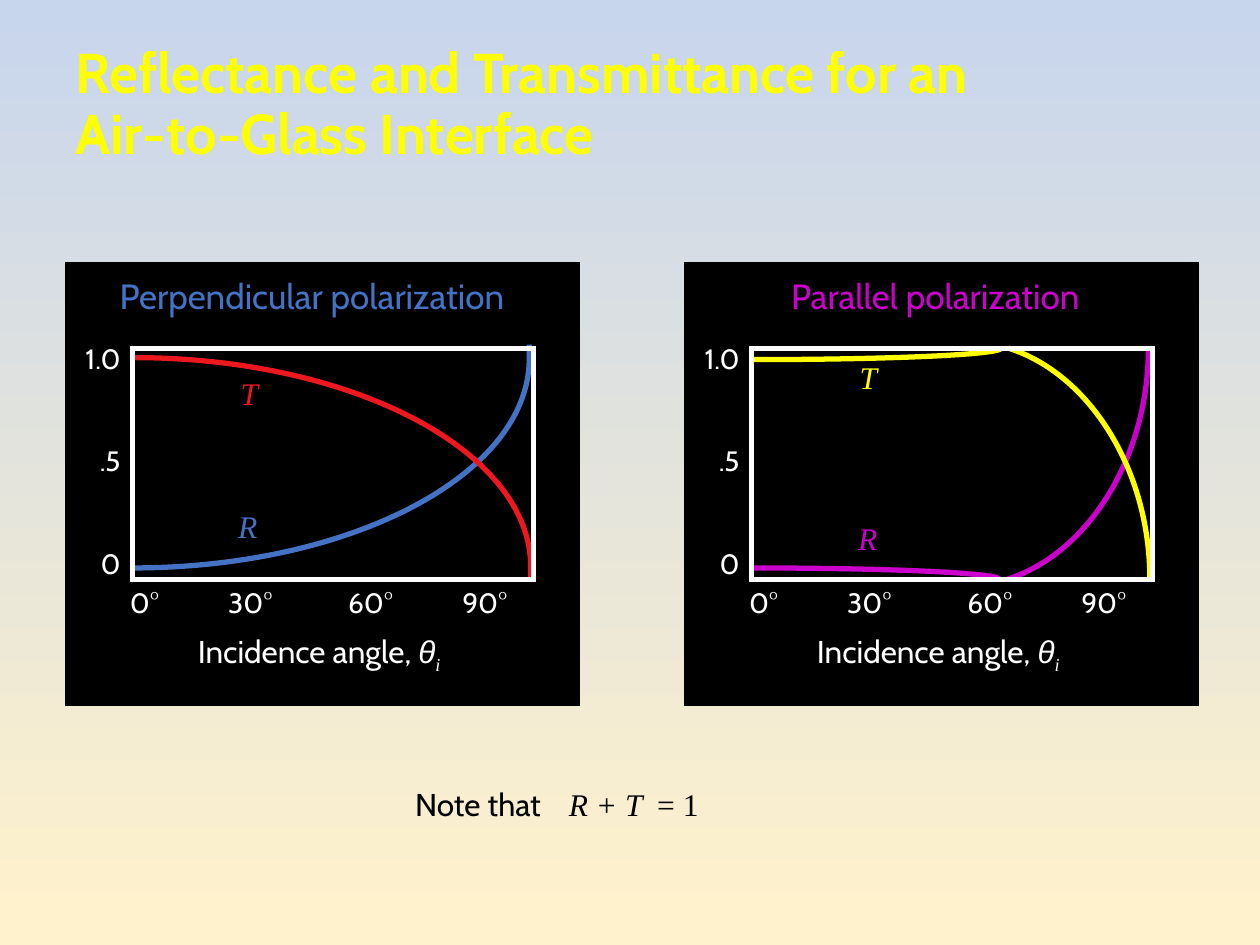
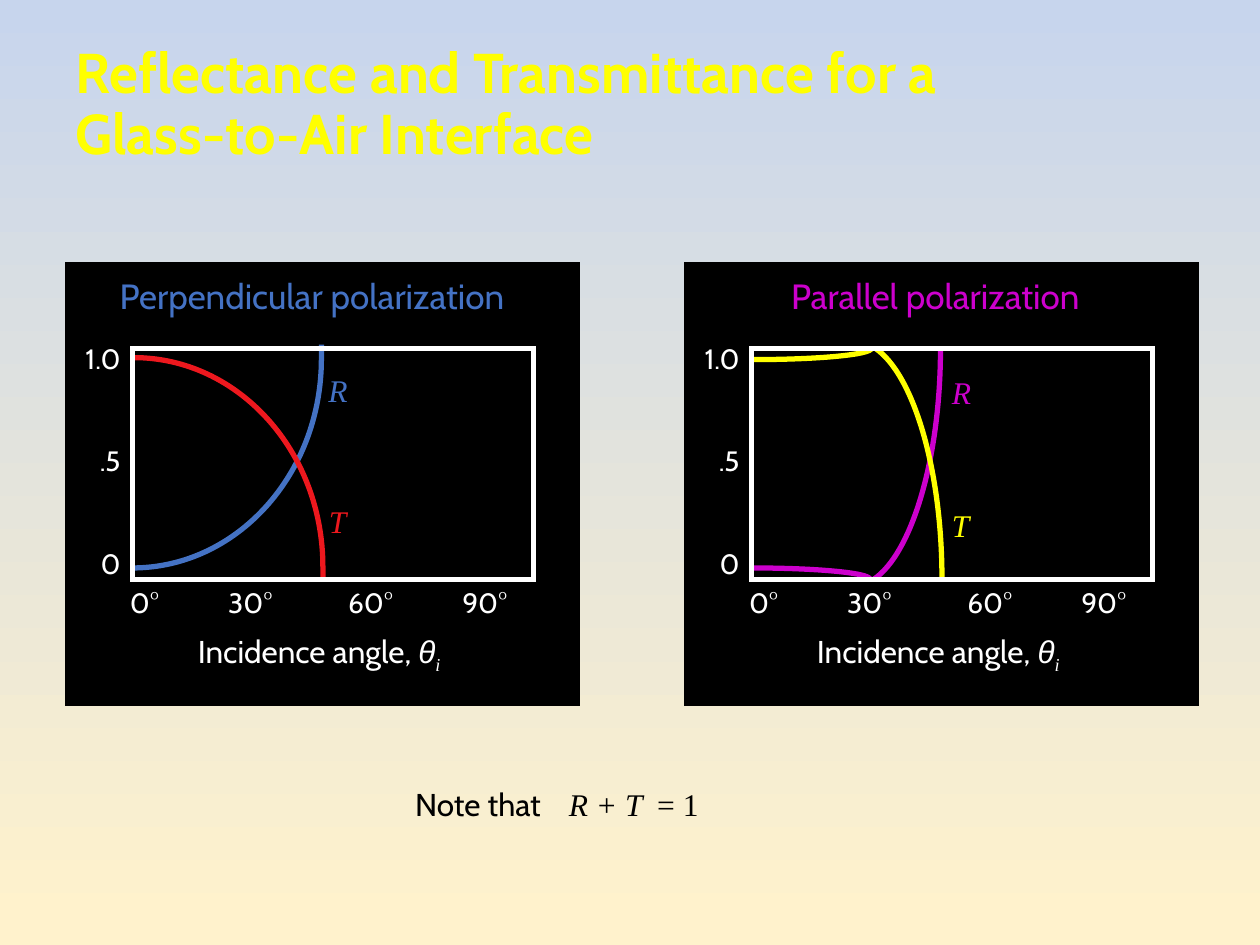
from dataclasses import dataclass

from lxml import etree
from pptx import Presentation
from pptx import util as u
from pptx.dml.color import RGBColor
from pptx.enum import shapes, text
from pptx.oxml import ns

SKY = RGBColor(0xC7, 0xD5, 0xED)
CREAM = RGBColor(0xFF, 0xF2, 0xCC)
YELLOW = RGBColor(0xFF, 0xFF, 0x00)
BLACK = RGBColor(0, 0, 0)
WHITE = RGBColor(0xFF, 0xFF, 0xFF)
BLUE = RGBColor(0x44, 0x72, 0xC4)
RED = RGBColor(0xED, 0x18, 0x1E)
MAGENTA = RGBColor(0xCC, 0x00, 0xCC)

SANS, SERIF, GREEK = "Cabin", "Times New Roman", "Arial"

PANEL_TOP, PANEL_WIDTH, PANEL_HEIGHT = 5.3, 10.36, 8.92
PANEL_LEFTS = (1.32, 13.8)
PLOT_X, PLOT_Y, PLOT_WIDTH, PLOT_HEIGHT = 1.35, 1.73, 8.08, 4.65


@dataclass
class Polarization:
    """Caption, colours, curves and symbol places of one panel."""
    caption: str
    caption_x: float
    caption_width: float
    r_color: RGBColor
    t_color: RGBColor
    r_curves: list
    mirror_sum: float
    r_place: tuple
    t_place: tuple


def perpendicular_curves(limit):
    """Return the knots and handles of the curve rising to the limit angle."""
    return [[(0, 4.42), (0.55 * limit, 4.42), (limit, 2.54), (limit, 0.2),
             (limit, 0.1), (limit, 0), (limit, -0.08)]]


def parallel_curves(brewster, limit):
    """Return the knots and handles before and after the Brewster angle."""
    restart = 1.03 * brewster
    pull = restart + 0.57 * (limit - restart)
    return [
        [(restart, 4.65), (pull, 4.14), (limit, 2.21), (limit, 0)],
        [(0, 4.42), (0.55 * brewster, 4.42), (brewster, 4.52), (brewster, 4.65)],
    ]


def mirrored(curve, mirror_sum):
    """Turn a reflectance curve into its transmittance curve."""
    return [(x + 0.03, mirror_sum - y) for x, y in curve]


def add_text(parent, box, lines, size, color, font=SANS, italic=False, bold=False):
    """Add a text box with one paragraph for each line."""
    frame = parent.add_textbox(*map(u.Cm, box)).text_frame
    frame.word_wrap = True
    for index, line in enumerate(lines):
        paragraph = frame.paragraphs[0] if index == 0 else frame.add_paragraph()
        paragraph.text = line
        for run in paragraph.runs:
            style(run, size, color, font, italic, bold)
    return frame


def style(run, size, color, font, italic=False, bold=False):
    """Format one run."""
    run.font.size = u.Pt(size)
    run.font.name = font
    run.font.color.rgb = color
    run.font.italic = italic
    run.font.bold = bold


def append_run(paragraph, words, size, color, font, italic=False):
    """Append a formatted run to a paragraph."""
    run = paragraph.add_run()
    run.text = words
    style(run, size, color, font, italic)
    return run


def set_tabs(paragraph, stops):
    """Set left tab stops, given in centimetres."""
    tabs = etree.SubElement(paragraph._p.get_or_add_pPr(), ns.qn("a:tabLst"))
    for stop in stops:
        etree.SubElement(tabs, ns.qn("a:tab"), pos=str(int(u.Cm(stop))), algn="l")


def add_rectangle(parent, box, line_color, line_width, fill=None):
    """Add a sharp-cornered rectangle, hollow unless a fill is given."""
    rectangle = parent.add_shape(shapes.MSO_SHAPE.RECTANGLE, *map(u.Cm, box))
    rectangle.shadow.inherit = False
    if fill is None:
        rectangle.fill.background()
    else:
        rectangle.fill.solid()
        rectangle.fill.fore_color.rgb = fill
    rectangle.line.color.rgb = line_color
    rectangle.line.width = u.Pt(line_width)
    etree.SubElement(rectangle.line._get_or_add_ln(), ns.qn("a:miter"), lim="800000")


def bend_lines(curve):
    """Join every three straight segments into one cubic segment."""
    outline = next(curve._element.iter(ns.qn("a:path")))
    segments = outline.findall(ns.qn("a:lnTo"))
    for first in range(0, len(segments), 3):
        cubic = etree.SubElement(outline, ns.qn("a:cubicBezTo"))
        for segment in segments[first:first + 3]:
            cubic.append(segment[0])
            outline.remove(segment)


def add_curve(parent, left, top, points, color):
    """Draw an open curve relative to the plot corner."""
    places = [(u.Cm(left + x), u.Cm(top + y)) for x, y in points]
    builder = parent.build_freeform(*places[0])
    builder.add_line_segments(places[1:], close=False)
    curve = builder.convert_to_shape()
    bend_lines(curve)
    curve.shadow.inherit = False
    curve.fill.background()
    curve.line.color.rgb = color
    curve.line.width = u.Pt(3)


def add_axes(parent, left, top):
    """Add the scale labels and the axis title of a panel."""
    scale = add_text(parent, (left + 0.01, top + 1.32, 1.35, 5.44), ("1.0", ".5", "0"), 16, WHITE)
    for index, paragraph in enumerate(scale.paragraphs):
        paragraph.alignment = text.PP_ALIGN.RIGHT
        paragraph.line_spacing = 1.2
        paragraph.space_before = u.Pt(35.7 if index else 0)

    angles = add_text(parent, (left + 1.05, top + 6.37, 9.47, 0.94),
                      ["0°\t30°\t60°\t90°"], 16, WHITE)
    set_tabs(angles.paragraphs[0], (1.98, 4.4, 6.7))

    title = add_text(parent, (left + 2.42, top + 7.32, 5.77, 1.02),
                     ["Incidence angle, "], 18, WHITE).paragraphs[0]
    append_run(title, "θ", 18, WHITE, GREEK, italic=True)
    index_run = append_run(title, "i", 18, WHITE, SERIF, italic=True)
    index_run._r.get_or_add_rPr().set("baseline", "-25000")


def add_panel(slide, left, top, polarization):
    """Add one black panel with its plot."""
    panel = slide.shapes.add_group_shape().shapes
    add_rectangle(panel, (left, top, PANEL_WIDTH, PANEL_HEIGHT), BLACK, 0.75, BLACK)
    add_text(panel, (left + polarization.caption_x, top + 0.11, polarization.caption_width, 1.09),
             [polarization.caption], 20, polarization.r_color)
    add_axes(panel, left, top)
    plot_left, plot_top = left + PLOT_X, top + PLOT_Y
    for curve in polarization.r_curves:
        add_curve(panel, plot_left, plot_top, curve, polarization.r_color)
    for curve in polarization.r_curves:
        add_curve(panel, plot_left, plot_top, mirrored(curve, polarization.mirror_sum),
                  polarization.t_color)
    add_rectangle(panel, (plot_left, plot_top, PLOT_WIDTH, PLOT_HEIGHT), WHITE, 3)
    for symbol, (x, y), color in (("R", polarization.r_place, polarization.r_color),
                                  ("T", polarization.t_place, polarization.t_color)):
        add_text(panel, (left + x, top + y, 1.02, 1.27), [symbol], 18, color, SERIF, italic=True)


def add_title(slide, title):
    """Add the slide title."""
    frame = add_text(slide.shapes, (1.27, 0.54, 21.59, 3.18), [title], 32, YELLOW, bold=True)
    frame.vertical_anchor = text.MSO_ANCHOR.MIDDLE
    frame.paragraphs[0].line_spacing = 0.9


def add_note(slide):
    """Add the energy conservation note."""
    note = add_text(slide.shapes, (8.12, 15.7, 8.43, 1.27),
                    ["Note that\t"], 18, BLACK).paragraphs[0]
    set_tabs(note, (3.1, 4.88))
    append_run(note, "R + T\t", 18, BLACK, SERIF, italic=True)
    append_run(note, "= 1", 18, BLACK, SERIF)


def paint_background(slide):
    """Fill the slide from sky blue down to cream."""
    fill = slide.background.fill
    fill.gradient()
    fill.gradient_angle = 270
    for stop, color, position in zip(fill.gradient_stops, (SKY, CREAM), (0, 0.98)):
        stop.color.rgb = color
        stop.position = position


def add_interface_slide(deck, title, panels):
    """Add a slide that compares both polarizations at one interface."""
    slide = deck.slides.add_slide(deck.slide_layouts[6])
    paint_background(slide)
    add_title(slide, title)
    add_note(slide)
    for left, polarization in zip(PANEL_LEFTS, panels):
        add_panel(slide, left, PANEL_TOP, polarization)


def perpendicular(limit, r_place, t_place):
    """Describe the perpendicular panel."""
    return Polarization("Perpendicular polarization", 0.84, 8.66, BLUE, RED,
                        perpendicular_curves(limit), 4.6, r_place, t_place)


def parallel(brewster, limit, r_place, t_place):
    """Describe the parallel panel."""
    return Polarization("Parallel polarization", 1.9, 6.68, MAGENTA, YELLOW,
                        parallel_curves(brewster, limit), 4.64, r_place, t_place)


def main():
    """Build and save the deck."""
    deck = Presentation()
    deck.slide_width, deck.slide_height = u.Cm(25.4), u.Cm(19.05)
    add_interface_slide(
        deck, "Reflectance and Transmittance for an\nAir-to-Glass Interface",
        (perpendicular(8, (3.23, 4.79), (3.28, 2.12)),
         parallel(5, 8, (3.25, 5.04), (3.28, 1.79))))
    add_interface_slide(
        deck, "Reflectance and Transmittance for a\nGlass-to-Air Interface",
        (perpendicular(3.81, (5.05, 2.05), (5.06, 4.69)),
         parallel(2.39, 3.81, (5.14, 2.09), (5.14, 4.78))))
    deck.save("out.pptx")


if __name__ == "__main__":
    main()
